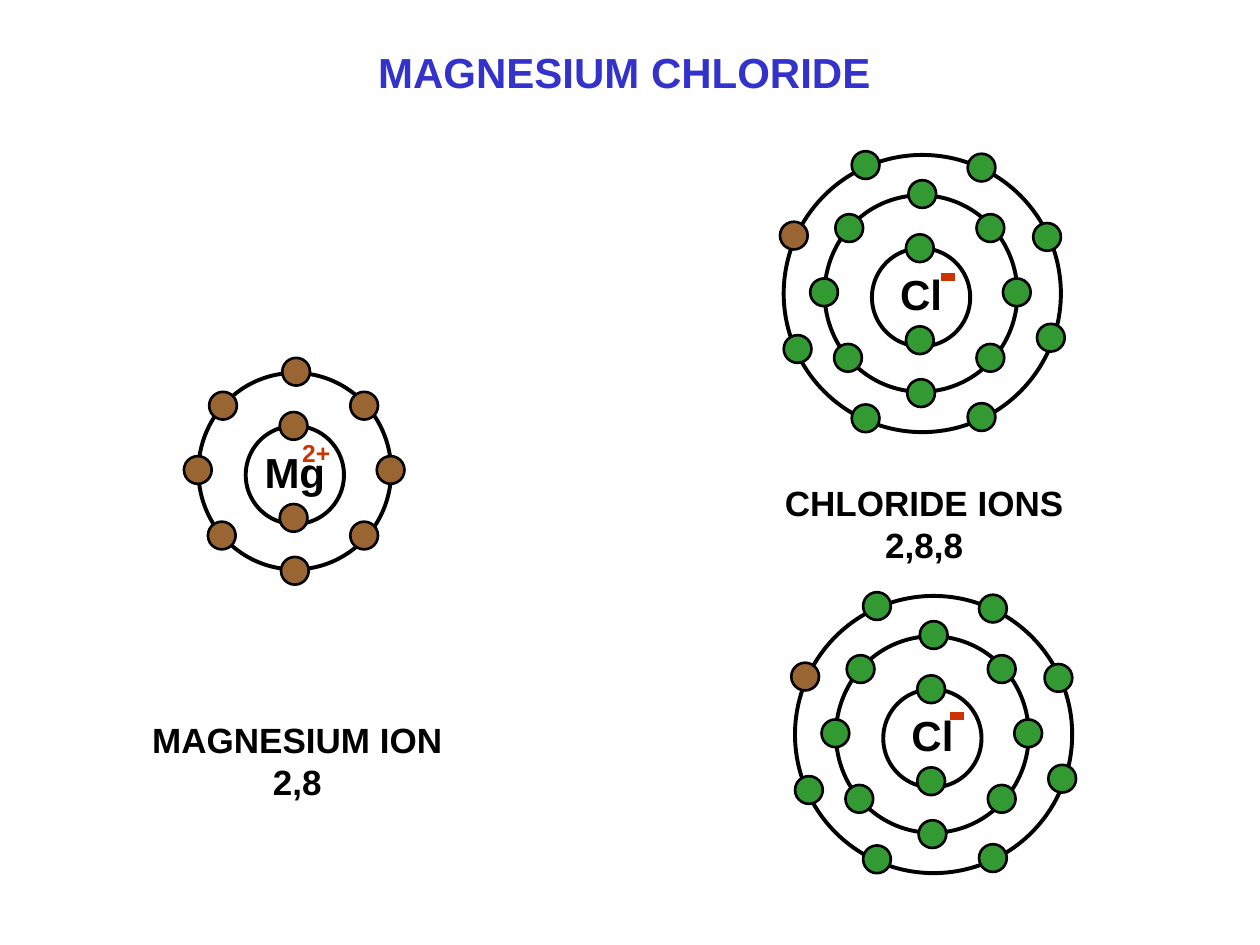
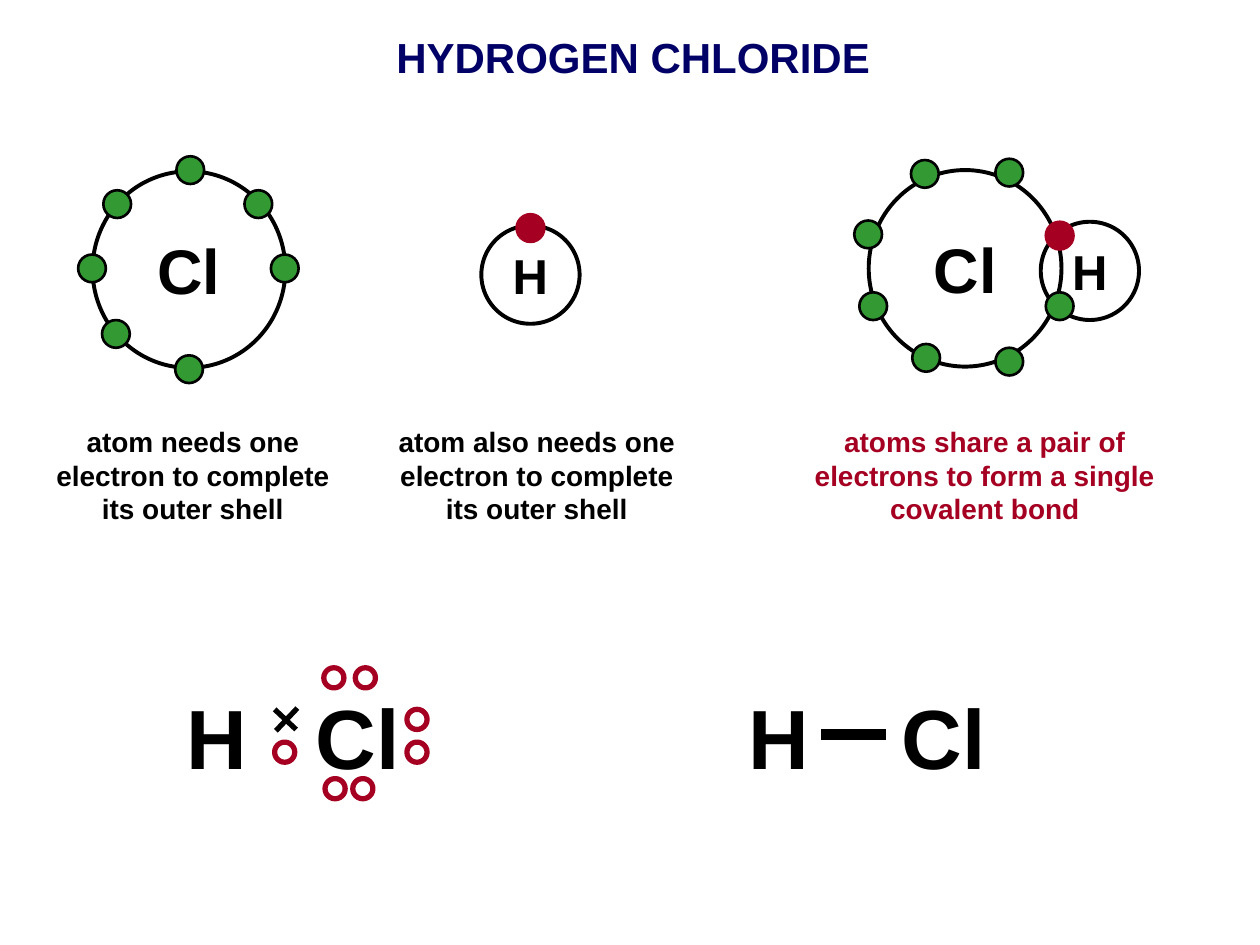
from lxml import etree
from pptx import Presentation
from pptx import util as u
from pptx.dml.color import RGBColor
from pptx.enum import shapes, text
from pptx.oxml.ns import qn

HUE = {"ink": "000000", "blue": "3333CC", "navy": "000066", "brown": "996633",
       "green": "339933", "red": "CC3300", "wine": "A50021"}
WIDE, HIGH = 10, 7.5
FACE = "Arial"
DOT, CORE, SHELL, OUTER, PAIR = 0.22, (0.78, 0.78), (1.53, 1.56), (2.2, 2.2), 0.16

DUO = [(-0.01, -0.36), (-0.01, 0.37)]
OCTET = [(0.76, -0.01), (-0.77, -0.01), (0.01, -0.79), (0, 0.79),
         (0.55, -0.52), (-0.57, -0.52), (-0.58, 0.51), (0.55, 0.51)]
RIM = [(0.48, -1), (-0.44, -1.02), (1, -0.45), (1.03, 0.35),
       (0.48, 0.98), (-0.44, 0.99), (-0.98, 0.44)]
GIFT = [(-1.01, -0.46)]
BOND = [(0.75, 0.3), (-0.77, -0.27), (0.35, -0.76), (-0.31, 0.71),
        (0.35, 0.74), (-0.73, 0.3), (-0.32, -0.75)]
SHARED = [(0.75, -0.26)]
LONE = [(0, -0.37)]


def ion(name, at, hue, rim):
    rings = [(SHELL, 0, 0), (CORE, 0, 0.03)]
    dots = [(OCTET + DUO, hue)]
    if rim:
        rings.append((OUTER, 0.01, 0))
        dots += [(RIM, hue), (GIFT, "brown")]
    return dict(name=name, at=at, size=24, rings=rings, dots=dots)


def atom(name, at, size, ring, *dots):
    return dict(name=name, at=at, size=size, rings=[(ring, 0, 0)], dots=dots)


PAGES = [
    dict(
        title=("MAGNESIUM CHLORIDE", (2.08, 0.32), "blue"),
        atoms=[ion("Mg", (2.34, 3.74), "brown", False),
               ion("Cl", (7.31, 2.33), "green", True),
               ion("Cl", (7.4, 5.83), "green", True)],
        notes=[("MAGNESIUM ION\n2,8", (0.91, 5.65, 2.9, 0.77), 20, "ink"),
               ("CHLORIDE IONS\n2,8,8", (5.78, 3.77, 3.11, 0.77), 20, "ink")],
        marks=[("2+", (2.51, 3.59), 14, "red")],
        bars=[((7.47, 2.2), (7.58, 2.2), "red", 4.5),
              ((7.54, 5.68), (7.65, 5.68), "red", 4.5)],
        pairs=[]),
    dict(
        title=("HYDROGEN CHLORIDE", (2.15, 0.2), "navy"),
        atoms=[atom("Cl", (1.5, 2.14), 36, SHELL, (OCTET[:-1], "green")),
               atom("H", (4.21, 2.18), 28, CORE, (LONE, "wine")),
               atom("H", (8.65, 2.15), 28, CORE),
               atom("Cl", (7.66, 2.13), 36, SHELL, (BOND, "green"), (SHARED, "wine"))],
        notes=[("atom needs one electron to complete its outer shell",
                (0.24, 3.32, 2.58, 0.9), 16, "ink"),
               ("atom also needs one electron to complete its outer shell",
                (2.92, 3.32, 2.68, 0.9), 16, "ink"),
               ("atoms share a pair of electrons to form a single covalent bond",
                (6.26, 3.32, 3.11, 0.9), 16, "wine")],
        marks=[("H", (1.72, 5.84), 48, "ink"), ("Cl", (2.84, 5.84), 48, "ink"),
               ("H", (6.18, 5.84), 48, "ink"), ("Cl", (7.49, 5.84), 48, "ink")],
        bars=[((6.52, 5.83), (7.03, 5.83), "ink", 6),
              ((2.19, 5.8), (2.36, 5.62), "ink", 3),
              ((2.18, 5.63), (2.35, 5.79), "ink", 3)],
        pairs=[(2.65, 5.38), (2.9, 5.38), (3.31, 5.71), (3.31, 5.97),
               (2.66, 6.26), (2.88, 6.26), (2.26, 5.97)]),
]


def tint(hue):
    return RGBColor.from_string(HUE[hue])


def inch(*nums):
    return [u.Inches(n) for n in nums]


def around(at, size):
    return inch(at[0] - size[0] / 2, at[1] - size[1] / 2, *size)


def write(box, words, size, hue, wrap=True, anchor=text.MSO_ANCHOR.TOP):
    frame = box.text_frame
    frame.text = words
    form = dict(word_wrap=wrap, auto_size=text.MSO_AUTO_SIZE.NONE,
                vertical_anchor=anchor,
                margin_left=u.Inches(0.1), margin_right=u.Inches(0.1),
                margin_top=u.Inches(0.05), margin_bottom=u.Inches(0.05))
    for key, val in form.items():
        setattr(frame, key, val)
    for para in frame.paragraphs:
        para.alignment = text.PP_ALIGN.CENTER
        for run in para.runs:
            for key, val in dict(name=FACE, size=u.Pt(size), bold=True).items():
                setattr(run.font, key, val)
            run.font.color.rgb = tint(hue)


def head(slide, words, at, hue):
    box = slide.shapes.title
    place = inch(*at, 0.575 * WIDE, HIGH / 15)
    for key, val in zip(("left", "top", "width", "height"), place):
        setattr(box, key, val)
    write(box, words, 24, hue)


def label(slide, words, at, size, hue):
    box = slide.shapes.add_textbox(*around(at, (size / 45, size / 60 + 0.1)))
    write(box, words, size, hue, False, text.MSO_ANCHOR.MIDDLE)


def disc(slide, at, size, line, weight, fill=None):
    oval = slide.shapes.add_shape(shapes.MSO_SHAPE.OVAL, *around(at, size))
    oval.shadow.inherit = False
    if fill:
        oval.fill.solid()
        oval.fill.fore_color.rgb = tint(fill)
    else:
        oval.fill.background()
    oval.line.color.rgb = tint(line)
    oval.line.width = u.Pt(weight)


def bar(slide, start, end, hue, weight):
    line = slide.shapes.add_connector(shapes.MSO_CONNECTOR.STRAIGHT, *inch(*start, *end))
    line.line.color.rgb = tint(hue)
    line.line.width = u.Pt(weight)
    etree.SubElement(line._element.spPr, qn("a:effectLst"))


def draw(slide, name, at, size, rings, dots):
    x, y = at
    for ring, dx, dy in rings:
        disc(slide, (x + dx, y + dy), ring, "ink", 2.25)
    for spots, hue in dots:
        edge = "wine" if hue == "wine" else "ink"
        for dx, dy in spots:
            disc(slide, (x + dx, y + dy), (DOT, DOT), edge, 1.5, hue)
    label(slide, name, at, size, "ink")


def main():
    deck = Presentation()
    deck.slide_width, deck.slide_height = inch(WIDE, HIGH)
    for page in PAGES:
        slide = deck.slides.add_slide(deck.slide_layouts[5])
        head(slide, *page["title"])
        for item in page["atoms"]:
            draw(slide, **item)
        for words, place, size, hue in page["notes"]:
            write(slide.shapes.add_textbox(*inch(*place)), words, size, hue)
        for mark in page["marks"]:
            label(slide, *mark)
        for item in page["bars"]:
            bar(slide, *item)
        for at in page["pairs"]:
            disc(slide, at, (PAIR, PAIR), "wine", 3)
    deck.save("out.pptx")


if __name__ == "__main__":
    main()
